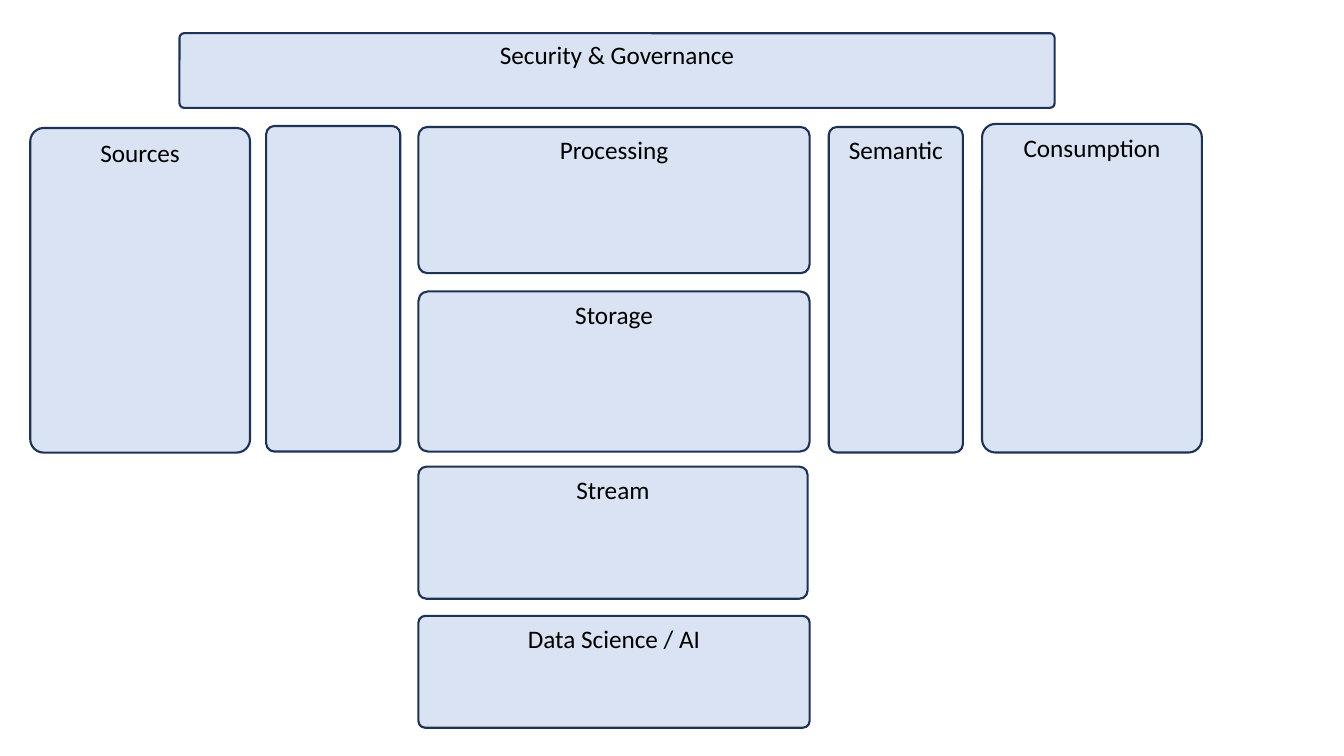
import pptx
import pptx.dml.color
import pptx.enum.shapes
import pptx.enum.text
import pptx.util
from pptx.util import Inches

FILL = "DAE3F3"
OUTLINE = "1E3256"
TEXT = "000000"
CORNER = 0.061

# Core column shared by the four stacked layers
CORE_LEFT, CORE_WIDTH = 4.15, 3.88

# label, left, top, width, height
BLOCKS = [
    ("Sources", 0.3, 1.27, 2.18, 3.22),
    ("Processing", CORE_LEFT, 1.26, CORE_WIDTH, 1.45),
    ("Storage", CORE_LEFT, 2.89, CORE_WIDTH, 1.59),
    ("Data Science / AI", CORE_LEFT, 6.11, CORE_WIDTH, 1.11),
    ("Consumption", 9.74, 1.23, 2.18, 3.26),
    ("Security & Governance", 1.78, 0.33, 8.68, 0.74),
    ("Semantic", 8.22, 1.26, 1.33, 3.23),
    ("", 2.64, 1.25, 1.33, 3.23),
    ("Stream", CORE_LEFT, 4.63, 3.86, 1.31),
]


def color(hex_string):
    return pptx.dml.color.RGBColor.from_string(hex_string)


def add_label(shape, label):
    """Write a centred heading at the top of a block."""
    frame = shape.text_frame
    frame.word_wrap = True
    frame.vertical_anchor = pptx.enum.text.MSO_ANCHOR.TOP
    paragraph = frame.paragraphs[0]
    paragraph.alignment = pptx.enum.text.PP_ALIGN.CENTER
    run = paragraph.add_run()
    run.text = label
    run.font.name = "Calibri"
    run.font.size = pptx.util.Pt(18)
    run.font.color.rgb = color(TEXT)


def add_block(slide, label, left, top, width, height):
    """Draw one rounded block of the architecture."""
    shape = slide.shapes.add_shape(
        pptx.enum.shapes.MSO_SHAPE.ROUNDED_RECTANGLE,
        Inches(left), Inches(top), Inches(width), Inches(height))
    shape.adjustments[0] = CORNER
    shape.shadow.inherit = False
    shape.fill.solid()
    shape.fill.fore_color.rgb = color(FILL)
    shape.line.color.rgb = color(OUTLINE)
    shape.line.width = pptx.util.Pt(1.5)
    if label:
        add_label(shape, label)


def main():
    presentation = pptx.Presentation()
    presentation.slide_width = Inches(13.33)
    presentation.slide_height = Inches(7.5)

    # Blank layout: the diagram has no title
    slide = presentation.slides.add_slide(presentation.slide_layouts[6])
    for block in BLOCKS:
        add_block(slide, *block)

    presentation.save("out.pptx")


if __name__ == "__main__":
    main()
